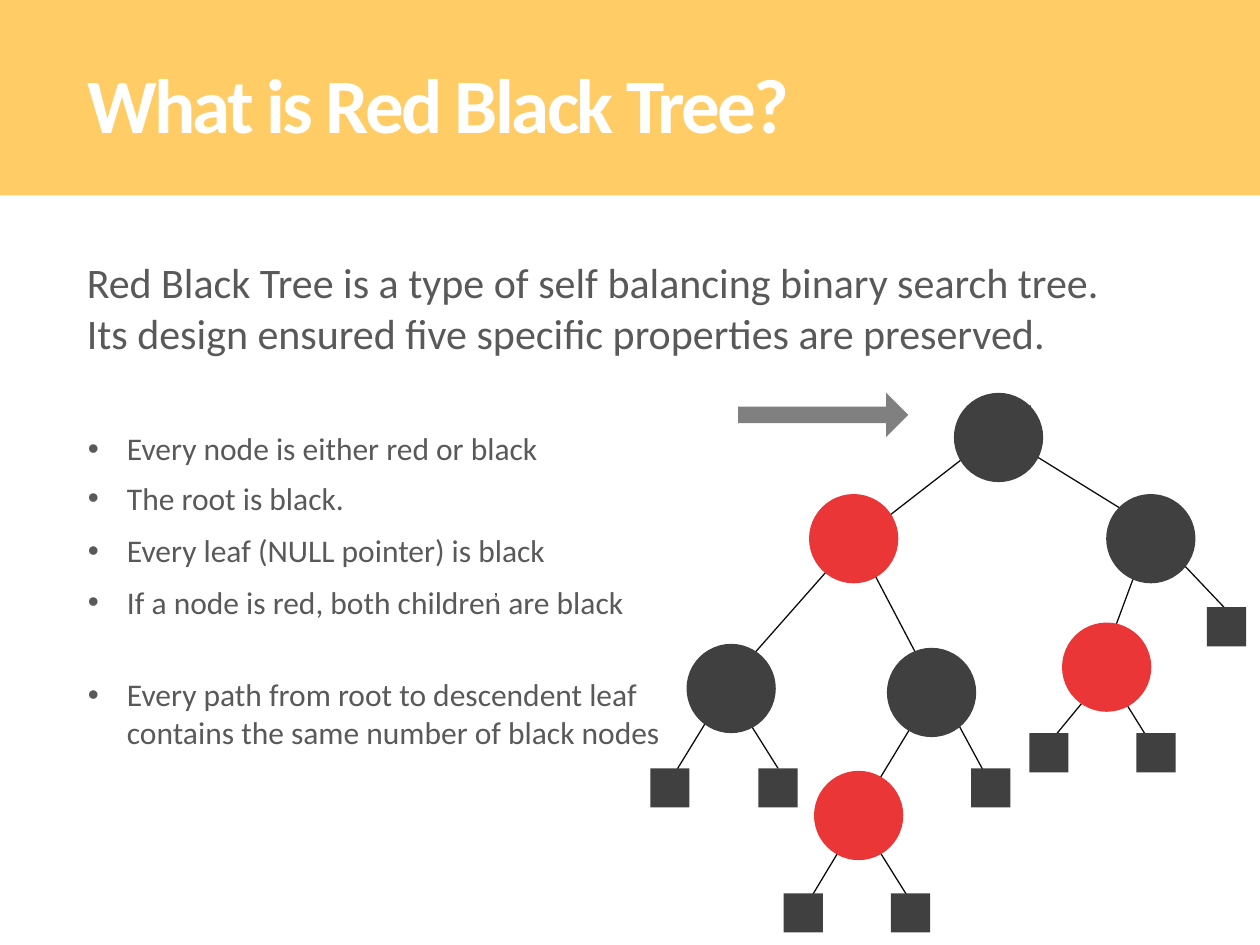
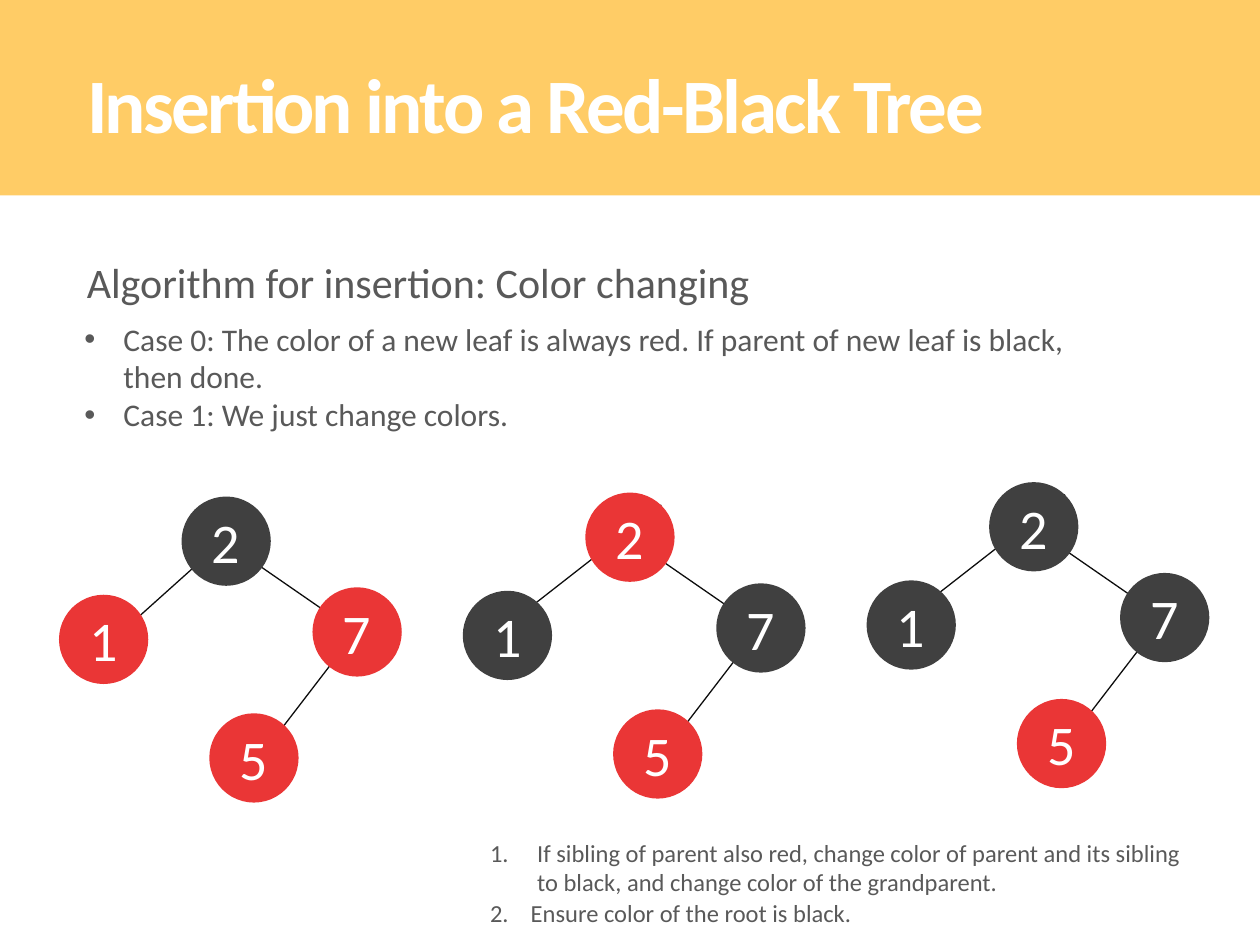
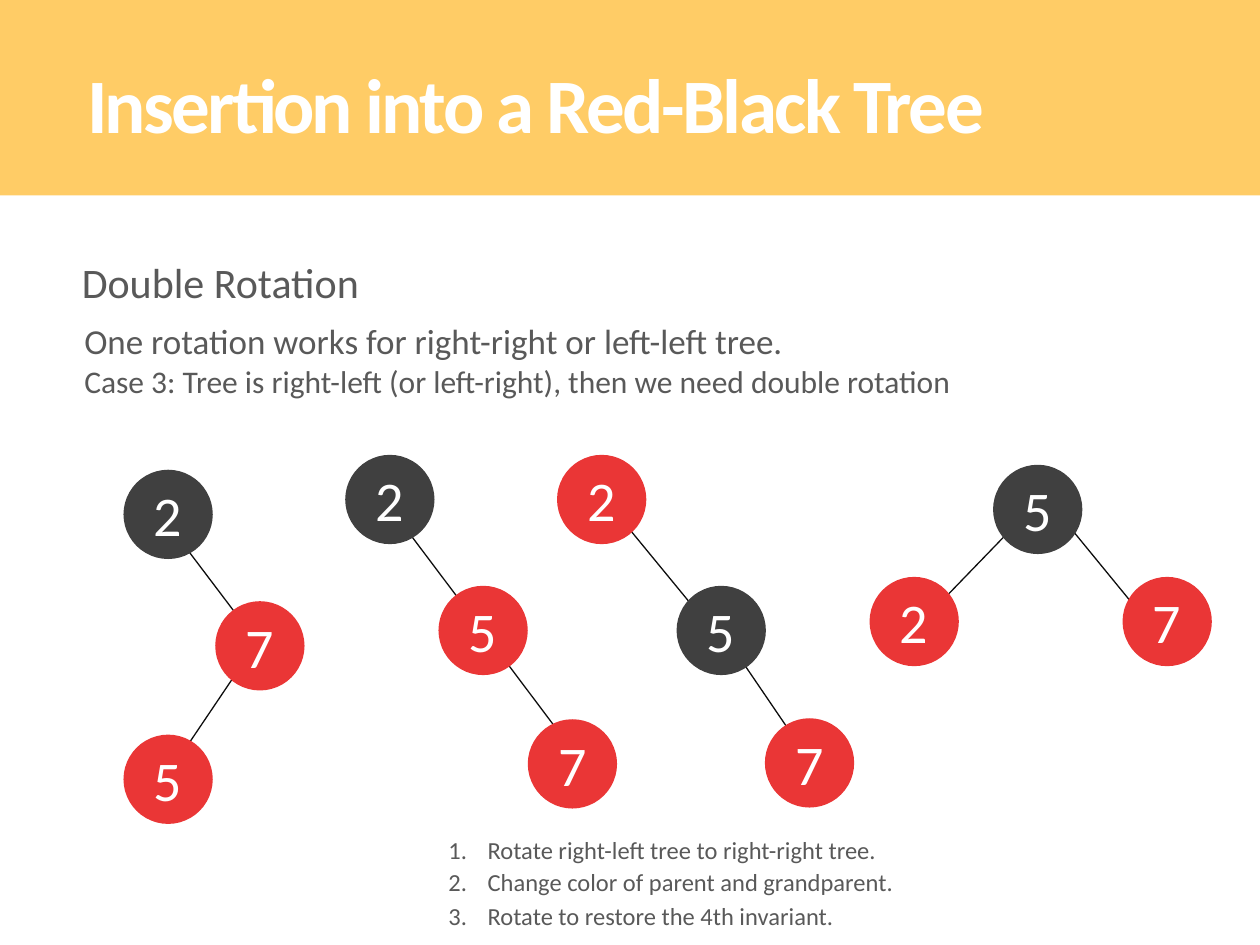
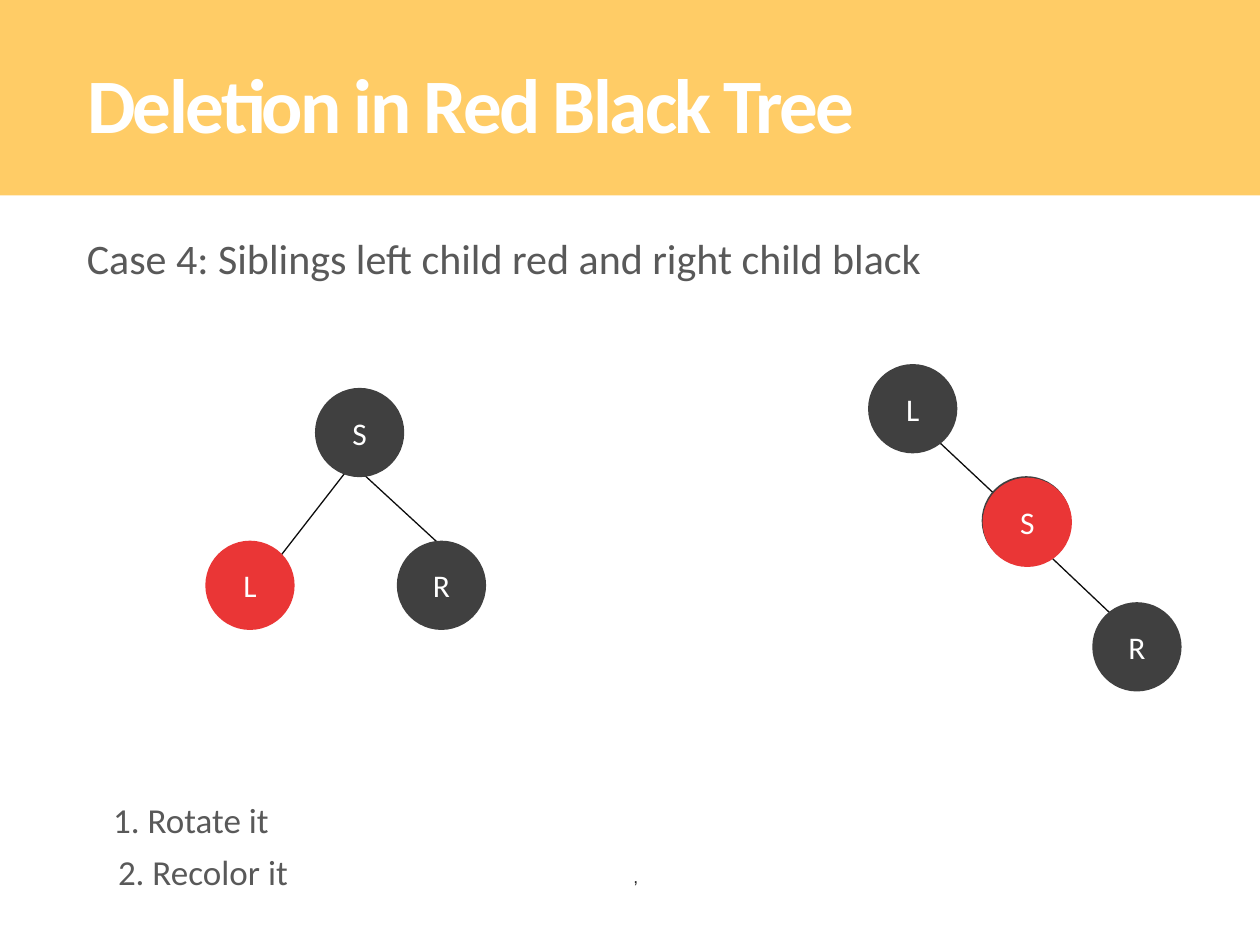
from lxml import etree
from pptx import Presentation
from pptx.dml.color import RGBColor
from pptx.enum.shapes import MSO_CONNECTOR, MSO_SHAPE
from pptx.enum.text import MSO_ANCHOR, MSO_AUTO_SIZE, PP_ALIGN
from pptx.oxml.ns import qn
from pptx.util import Cm, Pt

RECT, OVAL, ARROW = MSO_SHAPE.RECTANGLE, MSO_SHAPE.OVAL, MSO_SHAPE.RIGHT_ARROW
STRAIGHT = MSO_CONNECTOR.STRAIGHT
TOP, MIDDLE = MSO_ANCHOR.TOP, MSO_ANCHOR.MIDDLE
LEFT, CENTER = PP_ALIGN.LEFT, PP_ALIGN.CENTER
FIXED, GROW = MSO_AUTO_SIZE.NONE, MSO_AUTO_SIZE.SHAPE_TO_FIT_TEXT

COLORS = {
    "band": "FFCC66",
    "title": "FFFFFF",
    "body": "595959",
    "black": "404040",
    "red": "EA3636",
    "edge": "0D0D0D",
    "arrow": "808080",
    "mark": "252525",
}
WIDTH, HEIGHT = 25.4, 19.05
NODE, LEAF = 1.8, 0.79
BULLET_INDENT = 0.79


def color(name):
    return RGBColor.from_string(COLORS[name])


def write(p, text, size=18, fill="body", font="Calibri", bold=False,
          align=LEFT, spacing=None, bullet=None, number=None, indent=BULLET_INDENT):
    p.alignment = align
    if bullet or number:
        pPr = p._p.get_or_add_pPr()
        pPr.set("marL", str(Cm(indent)))
        pPr.set("indent", str(-Cm(indent)))
        if bullet:
            etree.SubElement(pPr, qn("a:buFont"), typeface="Arial")
            etree.SubElement(pPr, qn("a:buChar"), char=bullet)
        else:
            etree.SubElement(pPr, qn("a:buAutoNum"), type="arabicPeriod", startAt=str(number))
    r = p.add_run()
    r.text = text
    r.font.name, r.font.size, r.font.bold = font, Pt(size), bold
    r.font.color.rgb = color(fill)
    if spacing:
        r._r.get_or_add_rPr().set("spc", str(int(spacing * 100)))


class Deck:
    def __init__(self):
        self.prs = Presentation()
        self.prs.slide_width, self.prs.slide_height = Cm(WIDTH), Cm(HEIGHT)
        self.s = None

    def slide(self, title, width=22):
        self.s = self.prs.slides.add_slide(self.prs.slide_layouts[5])
        sp = self.s.shapes.title
        sp.left, sp.top, sp.width, sp.height = Cm(1.5), Cm(0.93), Cm(width), Cm(2.18)
        tf = sp.text_frame
        tf.auto_size, tf.vertical_anchor, tf.word_wrap = FIXED, TOP, True
        tf.margin_top = Cm(0.2)
        write(tf.paragraphs[0], title, size=44, fill="title", bold=True, spacing=-1.5)
        band = self.shape(RECT, 0, 0, WIDTH, 3.94, "band")
        sp.element.addprevious(band.element)

    def shape(self, kind, x, y, w, h, fill):
        sp = self.s.shapes.add_shape(kind, Cm(x), Cm(y), Cm(w), Cm(h))
        sp.shadow.inherit = False
        sp.fill.solid()
        sp.fill.fore_color.rgb = color(fill)
        sp.line.fill.background()
        return sp

    def node(self, x, y, fill, label="", size=32):
        sp = self.shape(OVAL, x, y, NODE, NODE, fill)
        if label:
            tf = sp.text_frame
            tf.margin_left = tf.margin_right = tf.margin_top = tf.margin_bottom = 0
            tf.vertical_anchor = MIDDLE
            write(tf.paragraphs[0], label, size=size, fill="title", align=CENTER)

    def leaf(self, x, y):
        return self.shape(RECT, x, y, LEAF, LEAF, "black")

    def edge(self, x1, y1, x2, y2):
        line = self.s.shapes.add_connector(STRAIGHT, Cm(x1), Cm(y1), Cm(x2), Cm(y2))
        line.line.color.rgb = color("edge")
        line.line.width = Pt(0.75)
        etree.SubElement(line._element.spPr, qn("a:effectLst"))
        return line

    def tree(self, edges, nodes, size=32):
        for ends in edges:
            self.edge(*ends)
        for node in nodes:
            self.node(*node, size=size)

    def text(self, x, y, w, h, *lines, anchor=TOP, **style):
        tf = self.s.shapes.add_textbox(Cm(x), Cm(y), Cm(w), Cm(h)).text_frame
        tf.word_wrap, tf.auto_size, tf.vertical_anchor = True, GROW, anchor
        for i, line in enumerate(lines):
            p = tf.add_paragraph() if i else tf.paragraphs[0]
            text, own = line if isinstance(line, tuple) else (line, {})
            write(p, text, **{**style, **own})

    def comma(self, x, y):
        self.text(x, y, 0.8, 0.76, ",", anchor=MIDDLE, size=10, fill="mark", font="Arial")


def definition(deck):
    deck.slide("What is Red Black Tree?", 19)
    deck.tree([
        (17.37, 16.59, 18.34, 18.14), (17.15, 16.76, 16.08, 18.54),
        (23.42, 10.92, 24.92, 12.5), (22.3, 13.54, 23.34, 15.21),
        (22.48, 13.36, 20.85, 15.34), (18.95, 13.92, 20.02, 15.9),
        (14.5, 14.12, 13.41, 15.9), (23.09, 11, 22.15, 13.54),
        (18.75, 14.02, 17.09, 16.76), (20.52, 8.97, 23.8, 11),
        (17.55, 11.43, 18.95, 14.1), (17.12, 11, 14.88, 13.54),
        (20.78, 8.18, 17.12, 11.02),
    ], [])
    joined = deck.edge(14.73, 13.97, 15.68, 15.49)
    deck.comma(9.7, 11.48)
    deck.text(1.5, 5.05, 21.2, 2.31,
              "Red Black Tree is a type of self balancing binary search tree. "
              "Its design ensured five specific properties are preserved.", size=24)
    deck.tree([], [
        (19.23, 7.92, "black"), (16.31, 9.96, "red"), (22.3, 9.96, "black"),
        (13.84, 12.98, "black"), (17.88, 13.06, "black"),
        (21.41, 12.55, "red"), (16.41, 15.54, "red"),
    ])
    for x, y in [(13.11, 15.49), (20.75, 14.78), (22.91, 14.78), (15.8, 18.01),
                 (17.96, 18.01), (24.33, 12.24), (19.58, 15.49)]:
        deck.leaf(x, y)
    joined.end_connect(deck.leaf(15.29, 15.49), 0)
    for y, h, rule in [
        (8.53, 1.02, "Every node is either red or black"),
        (9.53, 1.02, "The root is black."),
        (10.59, 1.02, "Every leaf (NULL pointer) is black"),
        (11.63, 1.8, "If a node is red, both children are black"),
        (13.49, 2.57, "Every path from root to descendent leaf "
                      "contains the same number of black nodes"),
    ]:
        deck.text(1.52, y, 12.19, h, rule, bullet="•")
    arrow = deck.shape(ARROW, 14.88, 7.92, 3.43, 0.89, "arrow")
    arrow.adjustments[0], arrow.adjustments[1] = 0.37, 0.5


def color_change(deck):
    deck.slide("Insertion into a Red-Black Tree")
    deck.text(1.5, 5.05, 21.2, 1.27, "Algorithm for insertion: Color changing", size=24)
    deck.text(1.45, 6.32, 21.2, 2.57,
              "Case 0: The color of a new leaf is always red. "
              "If parent of new leaf is black, then done.",
              "Case 1: We just change colors.", bullet="•")
    short_edge, long_edge = (4.45, 10.95, 2.13, 13.03), (5.19, 10.26, 1.54, 13.11)
    places = [("2", 3.66, 10.01), ("1", 1.19, 11.99), ("7", 6.3, 11.84), ("5", 4.22, 14.38)]
    for dx, dy, left_edge, fills in [
        (0, 0, short_edge, ("black", "red", "red", "red")),
        (8.14, -0.08, long_edge, ("red", "black", "black", "red")),
        (16.28, -0.29, long_edge, ("black", "black", "black", "red")),
    ]:
        edges = [(7.24, 12.65, 5.33, 15.14), (4.57, 10.95, 7.32, 12.85), left_edge]
        deck.tree([(x1 + dx, y1 + dy, x2 + dx, y2 + dy) for x1, y1, x2, y2 in edges],
                  [(x + dx, y + dy, fill, label)
                   for (label, x, y), fill in zip(places, fills)])
    deck.text(9.63, 16.76, 14.76, 1.45,
              "If sibling of parent also red, change color of parent and its sibling "
              "to black, and change color of the grandparent.",
              size=14, number=1, indent=0.95)
    deck.text(9.63, 17.98, 14.76, 0.86, "Ensure color of the root is black.",
              size=14, number=2, indent=0.82)


def double_rotation(deck):
    deck.slide("Insertion into a Red-Black Tree")
    deck.text(1.4, 5.05, 21.2, 1.27, "Double Rotation", size=24)
    deck.text(1.45, 6.32, 21.2, 1.88,
              ("One rotation works for right-right or left-left tree.", {"size": 20}),
              "Case 3: Tree is right-left (or left-right), then we need double rotation")
    right_left = (
        [(5.16, 12.98, 3.38, 15.62), (3.12, 10.21, 5.23, 13)],
        [(2.49, 9.47, "black", "2"), (2.49, 14.81, "red", "5"), (4.34, 12.12, "red", "7")])
    right_right = (
        [(7.62, 9.91, 11.84, 15.52)],
        [(6.96, 9.17, "black", "2"), (10.64, 14.5, "red", "7"), (8.84, 11.81, "red", "5")])
    recolored = (
        [(14.53, 12.7, 16.28, 15.27), (11.73, 9.5, 14.17, 12.47)],
        [(11.23, 9.17, "red", "2"), (15.42, 14.48, "red", "7"), (13.64, 11.81, "black", "5")])
    restored = (
        [(18.42, 12.7, 20.78, 10.26), (21.16, 10.13, 23.6, 13.11)],
        [(17.53, 11.63, "red", "2"), (22.63, 11.63, "red", "7"), (20.02, 9.37, "black", "5")])
    for edges, nodes in (right_left, right_right, recolored, restored):
        deck.tree(edges, nodes)
    steps = [
        (16.71, "Rotate right-left tree to right-right tree."),
        (17.35, "Change color of parent and grandparent."),
        (18.03, "Rotate to restore the 4th invariant."),
    ]
    for number, (y, step) in enumerate(steps, 1):
        deck.text(8.79, y, 14.76, 0.86, step, size=14, number=number)


def deletion(deck):
    deck.slide("Deletion in Red Black Tree", 19)
    deck.comma(12.52, 17.3)
    deck.text(1.5, 4.57, 22.83, 1.27,
              "Case 4: Siblings left child red and right child black", size=24)
    deck.tree([(6.99, 9.25, 8.89, 11), (7.57, 8.74, 4.83, 12.27)],
              [(8, 10.9, "black", "R"), (6.35, 7.82, "black", "S"),
               (4.14, 10.9, "red", "L")], size=18)
    deck.tree([(18.47, 8.48, 20.37, 10.26), (20.7, 10.77, 22.58, 12.55)],
              [(22.02, 12.14, "black", "R"), (19.79, 9.6, "black"),
               (19.81, 9.63, "red", "S"), (17.5, 7.34, "black", "L")], size=18)
    deck.text(2.03, 15.98, 22.83, 1.12, "1. Rotate it", size=20)
    deck.text(2.13, 17.02, 22.83, 1.12, "2. Recolor it", size=20)


def main():
    deck = Deck()
    for build in (definition, color_change, double_rotation, deletion):
        build(deck)
    deck.prs.save("out.pptx")


if __name__ == "__main__":
    main()
